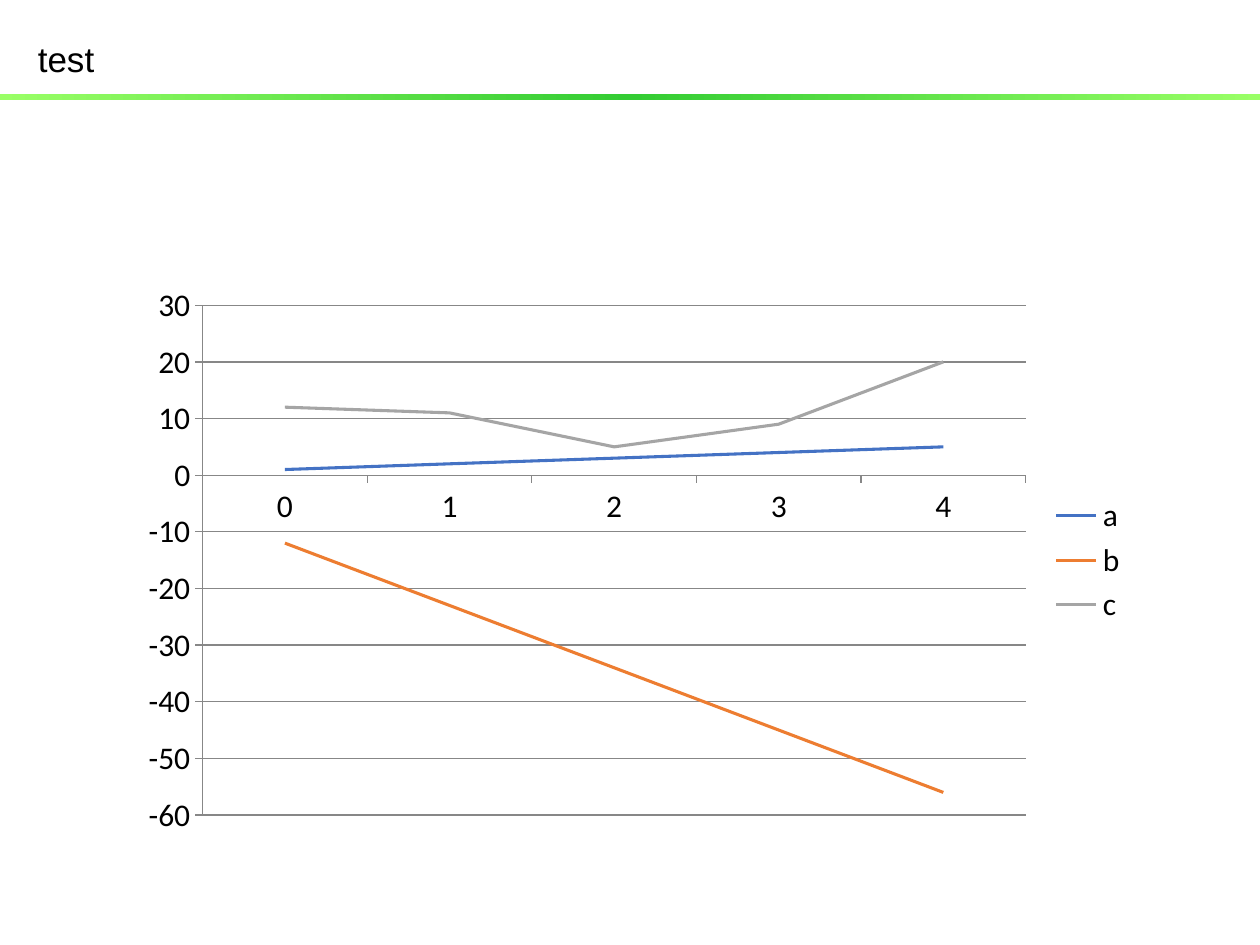
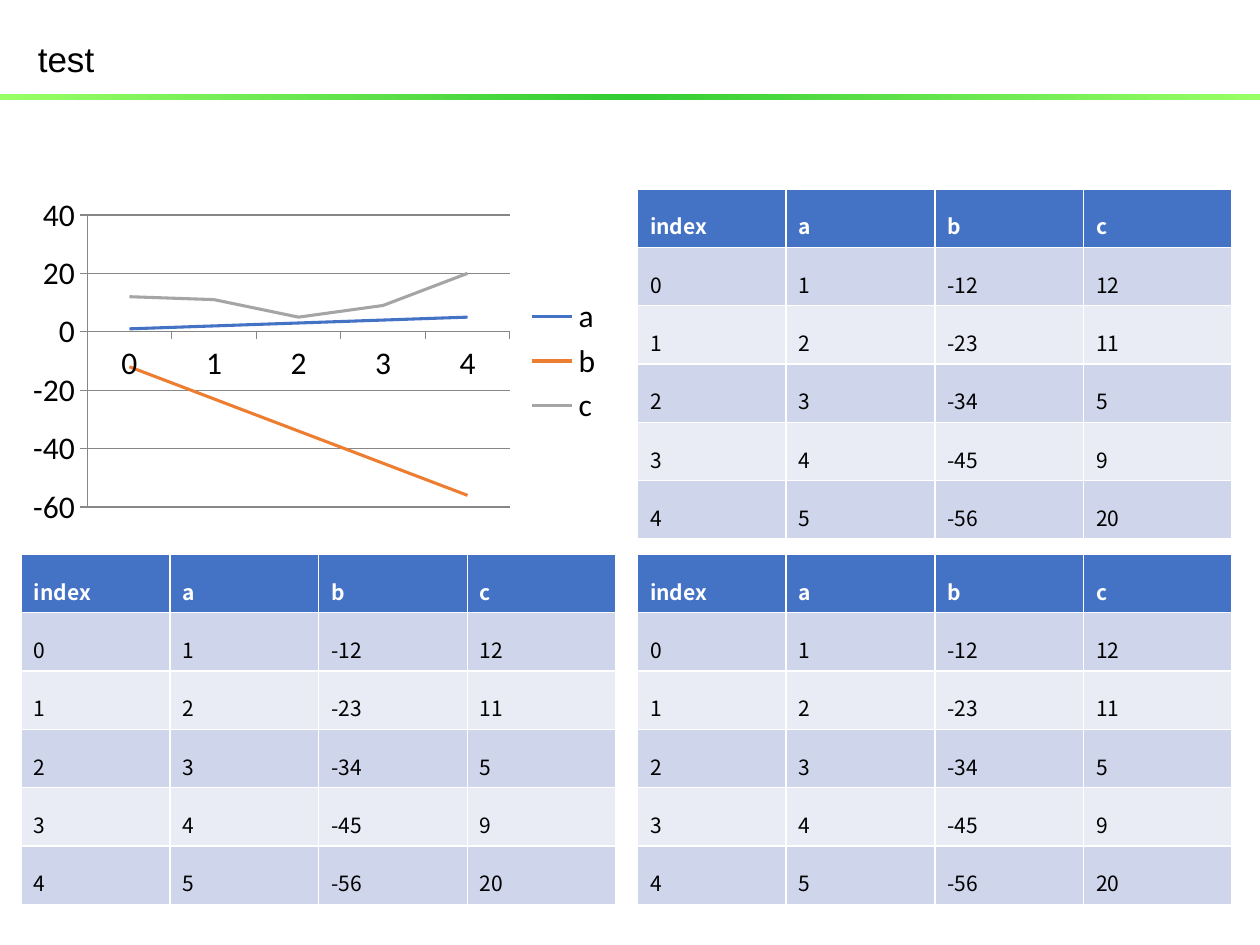
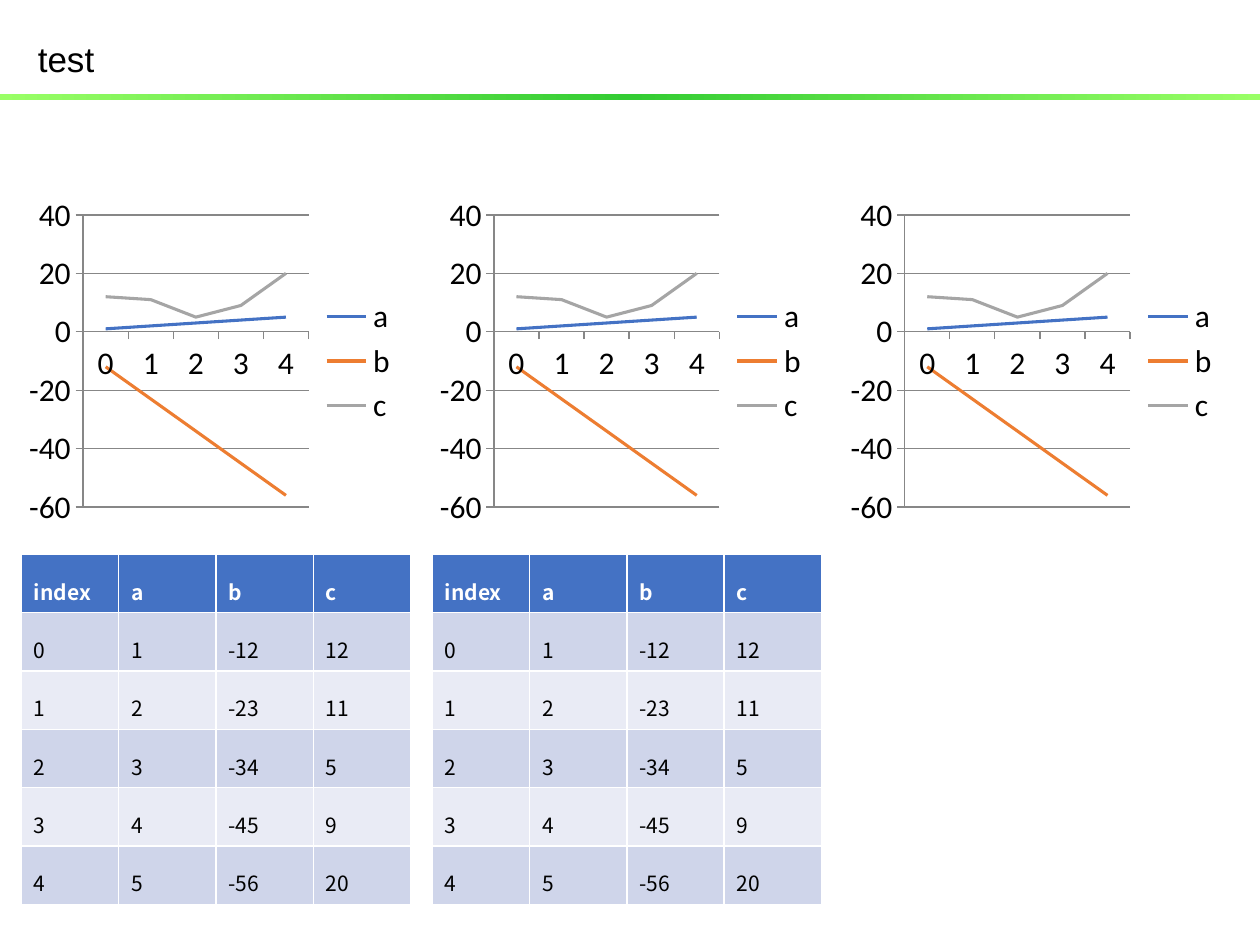
"""Build three slides that show one small data set as line charts and tables."""
from copy import deepcopy
from dataclasses import dataclass

from lxml import etree
from pptx import Presentation
from pptx.chart.data import CategoryChartData
from pptx.dml.color import RGBColor
from pptx.enum.chart import XL_CHART_TYPE, XL_LEGEND_POSITION
from pptx.enum.shapes import MSO_SHAPE
from pptx.enum.text import MSO_ANCHOR, MSO_AUTO_SIZE, PP_ALIGN
from pptx.oxml.ns import qn
from pptx.util import Pt

LINE = XL_CHART_TYPE.LINE
LEGEND_RIGHT = XL_LEGEND_POSITION.RIGHT
RECTANGLE = MSO_SHAPE.RECTANGLE
MIDDLE = MSO_ANCHOR.MIDDLE
NO_AUTOFIT = MSO_AUTO_SIZE.NONE
ALIGN_LEFT = PP_ALIGN.LEFT

TITLE_ONLY = 5
BAND_ID = 20
PAGE_WIDTH, PAGE_HEIGHT = 720, 540
GRID_LEFT, GRID_TOP, GRID_WIDTH = 12.2, 108, 692
GRID_GAP, CELL_HEIGHT = 12.2, 196.6

INDEX = ["0", "1", "2", "3", "4"]
SERIES = {
    "a": [1, 2, 3, 4, 5],
    "b": [-12, -23, -34, -45, -56],
    "c": [12, 11, 5, 9, 20],
}


@dataclass(frozen=True)
class Theme:
    text: str = "000000"
    header_text: str = "FFFFFF"
    header_fill: str = "4472C4"
    row_fills: tuple = ("CFD5EA", "E9EBF5")
    series: tuple = ("4472C4", "ED7D31", "A5A5A5")
    band_stops: tuple = ((0, "99FF66"), (0.5, "33CC33"), (1, "99FF66"))
    title_font: str = "Arial"
    chart_font: str = "Calibri"
    table_font: str = "Noto Sans CJK JP"
    title_size: float = 20
    chart_size: float = 18
    table_size: float = 12
    line_width: float = 1.75


def points(*lengths):
    return [Pt(length) for length in lengths]


def grid_cell(column, row, columns):
    width = (GRID_WIDTH - GRID_GAP * (columns - 1)) / columns
    left = GRID_LEFT + column * (width + GRID_GAP)
    top = GRID_TOP + row * (CELL_HEIGHT + GRID_GAP)
    return left, top, width, CELL_HEIGHT


class Report:
    def __init__(self, theme):
        self.theme = theme
        self.deck = Presentation()
        self.deck.slide_width, self.deck.slide_height = points(PAGE_WIDTH, PAGE_HEIGHT)
        self.layout = self.deck.slide_layouts[TITLE_ONLY]
        self.page = None

    def add_page(self, title):
        self.page = self.deck.slides.add_slide(self.layout)
        if len(self.deck.slides) == 1:
            self.add_layout_band()
        self.set_title(title)

    def add_layout_band(self):
        band = self.page.shapes.add_shape(RECTANGLE, *points(0, 54, PAGE_WIDTH, 3))
        band.shadow.inherit = False
        band.line.fill.background()
        band.fill.gradient()
        band.fill.gradient_angle = 0
        stop_list = band.element.spPr.find(qn("a:gradFill")).find(qn("a:gsLst"))
        stop_list.append(deepcopy(stop_list[0]))
        for stop, (position, color) in zip(band.fill.gradient_stops, self.theme.band_stops):
            stop.position = position
            stop.color.rgb = RGBColor.from_string(color)
        band.element.nvSpPr.cNvPr.set("id", str(BAND_ID))
        self.layout.shapes.element.append(band.element)

    def set_title(self, title):
        box = self.page.shapes.title
        box.left, box.top, box.width, box.height = points(14.4, 15, 590, 39.6)
        frame = box.text_frame
        frame.text = title
        frame.auto_size = NO_AUTOFIT
        frame.vertical_anchor = MIDDLE
        para = frame.paragraphs[0]
        para.alignment = ALIGN_LEFT
        para.line_spacing = 0.9
        self.format_font(para.runs[0].font, self.theme.title_font, self.theme.title_size)

    def format_font(self, font, name, size, color=None, bold=False):
        font.name = name
        font.size = Pt(size)
        font.bold = bold
        font.color.rgb = RGBColor.from_string(color or self.theme.text)

    def add_line_chart(self, area):
        data = CategoryChartData()
        data.categories = INDEX
        for name, values in SERIES.items():
            data.add_series(name, values)
        chart = self.page.shapes.add_chart(LINE, *points(*area), data).chart
        self.format_font(chart.font, self.theme.chart_font, self.theme.chart_size)
        chart.has_title = False
        chart.has_legend = True
        chart.legend.position = LEGEND_RIGHT
        chart.legend.include_in_layout = False
        plot = chart.plots[0]
        plot.vary_by_categories = False
        for series, color in zip(plot.series, self.theme.series):
            series.smooth = False
            series.format.line.width = Pt(self.theme.line_width)
            series.format.line.color.rgb = RGBColor.from_string(color)

    def add_data_table(self, area):
        rows = [["index", *SERIES], *zip(INDEX, *SERIES.values())]
        frame = self.page.shapes.add_table(len(rows), len(rows[0]), *points(*area))
        for row_number, row in enumerate(rows):
            header = row_number == 0
            fill = self.theme.header_fill if header else self.theme.row_fills[(row_number - 1) % 2]
            color = self.theme.header_text if header else self.theme.text
            for cell, value in zip(frame.table.rows[row_number].cells, row):
                self.fill_cell(cell, str(value), fill, color, header)

    def fill_cell(self, cell, text, fill, color, bold):
        cell.fill.solid()
        cell.fill.fore_color.rgb = RGBColor.from_string(fill)
        cell.text_frame.text = text
        para = cell.text_frame.paragraphs[0]
        para.line_spacing = 1.5
        para.space_before = Pt(self.theme.table_size / 2)
        spacing = para.runs[0].font and cell.text_frame.paragraphs[0].runs[0]
        self.format_font(spacing.font, self.theme.table_font, self.theme.table_size, color, bold)
        self.set_relative_space(cell)

    def set_relative_space(self, cell):
        for before in cell.text_frame.paragraphs[0].runs[0].font and cell.text_frame._txBody.iter(qn("a:spcBef")):
            before.remove(before[0])
            etree.SubElement(before, qn("a:spcPct"), val="50000")


def main():
    report = Report(Theme())
    report.add_page("test")
    report.add_line_chart((73.4, 157, 578.2, 326.2))

    report.add_page("test")
    report.add_line_chart(grid_cell(0, 0, 2))
    for column, row in ((1, 0), (0, 1), (1, 1)):
        report.add_data_table(grid_cell(column, row, 2))

    report.add_page("test")
    for column in range(3):
        report.add_line_chart(grid_cell(column, 0, 3))
    for column in range(2):
        report.add_data_table(grid_cell(column, 1, 3))

    report.deck.save("out.pptx")


if __name__ == "__main__":
    main()
